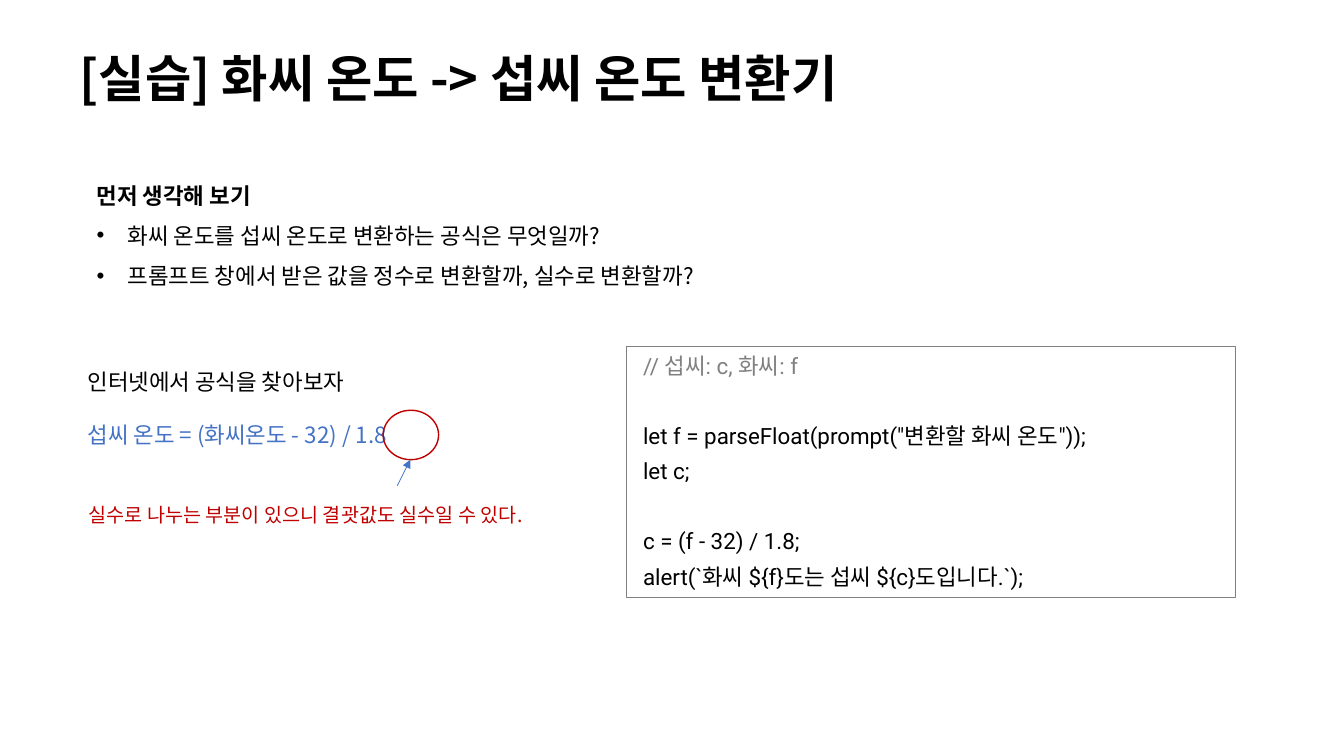
"""Build the Fahrenheit to Celsius converter exercise slide."""
from pptx import Presentation
from pptx.dml.color import RGBColor
from pptx.enum.shapes import MSO_CONNECTOR, MSO_SHAPE
from pptx.enum.text import MSO_ANCHOR, MSO_AUTO_SIZE, PP_ALIGN
from pptx.oxml.ns import qn
from pptx.util import Inches, Pt
from lxml.etree import SubElement

BLACK = RGBColor(0x00, 0x00, 0x00)
BLUE = RGBColor(0x44, 0x72, 0xC4)
RED = RGBColor(0xC0, 0x00, 0x00)
GRAY = RGBColor(0x80, 0x80, 0x80)
KOREAN_FONT = "Noto Sans CJK KR"
CODE_FONT = "Roboto"


def add_span(para, text, size, color=BLACK, bold=False, font=KOREAN_FONT):
    span = para.add_run()
    span.text = text
    span.font.name = font
    span.font.size = Pt(size)
    span.font.bold = bold
    span.font.color.rgb = color
    SubElement(span.font._element, qn("a:ea")).set("typeface", KOREAN_FONT)


def add_box(left, top, width, height, wrap=True):
    box = page.shapes.add_textbox(Inches(left), Inches(top), Inches(width), Inches(height))
    box.text_frame.word_wrap = wrap
    box.text_frame.auto_size = MSO_AUTO_SIZE.SHAPE_TO_FIT_TEXT
    return box.text_frame


deck = Presentation()
deck.slide_width, deck.slide_height = Inches(13.33), Inches(7.5)
page = deck.slides.add_slide(deck.slide_layouts[5])

title = page.shapes.title
title.left, title.top, title.width, title.height = Inches(0.69), Inches(0.35), Inches(9.74), Inches(0.92)
title.text_frame.vertical_anchor = MSO_ANCHOR.MIDDLE
para = title.text_frame.paragraphs[0]
para.alignment = PP_ALIGN.LEFT
para.line_spacing = 0.9
add_span(para, "[실습] 화씨 온도 -> 섭씨 온도 변환기", 36, bold=True)

questions = add_box(0.86, 1.62, 9.36, 1.26)
para = questions.paragraphs[0]
para.line_spacing = 1.5
add_span(para, "먼저 생각해 보기", 16, bold=True)
for question in (
    "화씨 온도를 섭씨 온도로 변환하는 공식은 무엇일까?",
    "프롬프트 창에서 받은 값을 정수로 변환할까, 실수로 변환할까?",
):
    para = questions.add_paragraph()
    para.line_spacing = 1.5
    properties = para._p.get_or_add_pPr()
    properties.set("marL", str(Inches(0.31)))
    properties.set("indent", str(-Inches(0.31)))
    SubElement(properties, qn("a:buFont")).set("typeface", "Arial")
    SubElement(properties, qn("a:buChar")).set("char", "•")
    add_span(para, question, 16)

formula = add_box(0.77, 3.6, 5.44, 0.94)
add_span(formula.paragraphs[0], "인터넷에서 공식을 찾아보자", 16)
para = formula.add_paragraph()
para.space_before = Pt(19.2)
add_span(para, "섭씨 온도 = (화씨온도 - 32) / 1.8", 16, BLUE)

circle = page.shapes.add_shape(MSO_SHAPE.OVAL, Inches(3.8), Inches(4.07), Inches(0.55), Inches(0.49))
circle.shadow.inherit = False
circle.fill.background()
circle.line.color.rgb = RED
circle.line.width = Pt(1)

note = add_box(0.78, 4.94, 4.88, 0.34, wrap=False)
add_span(note.paragraphs[0], "실수로 나누는 부분이 있으니 결괏값도 실수일 수 있다.", 14, RED)

arrow = page.shapes.add_connector(
    MSO_CONNECTOR.STRAIGHT, Inches(3.94), Inches(4.82), Inches(4.07), Inches(4.56))
arrow.line.color.rgb = BLUE
arrow.line.width = Pt(0.5)
SubElement(arrow.line._get_or_add_ln(), qn("a:tailEnd")).set("type", "triangle")
SubElement(arrow._element.spPr, qn("a:effectLst"))

code_box = page.shapes.add_shape(MSO_SHAPE.RECTANGLE, Inches(6.21), Inches(3.44), Inches(6.04), Inches(2.49))
code_box.shadow.inherit = False
code_box.fill.background()
code_box.line.color.rgb = GRAY
code_box.line.width = Pt(0.75)
code = code_box.text_frame
code.word_wrap = True
code.vertical_anchor = MSO_ANCHOR.TOP
code_lines = [
    ("// 섭씨: c, 화씨: f", GRAY, 0),
    ('let f = parseFloat(prompt("변환할 화씨 온도"));', BLACK, 28),
    ("let c;", BLACK, 3),
    ("c = (f - 32) / 1.8;", BLACK, 28),
    ("alert(`화씨 ${f}도는 섭씨 ${c}도입니다.`);", BLACK, 3),
]
for index, (text, color, gap) in enumerate(code_lines):
    para = code.add_paragraph() if index else code.paragraphs[0]
    para.alignment = PP_ALIGN.LEFT
    para.space_before = Pt(gap)
    para.space_after = Pt(3)
    para._p.get_or_add_pPr().set("marL", str(Inches(0.07)))
    add_span(para, text, 16, color, font=CODE_FONT)

deck.save("out.pptx")
